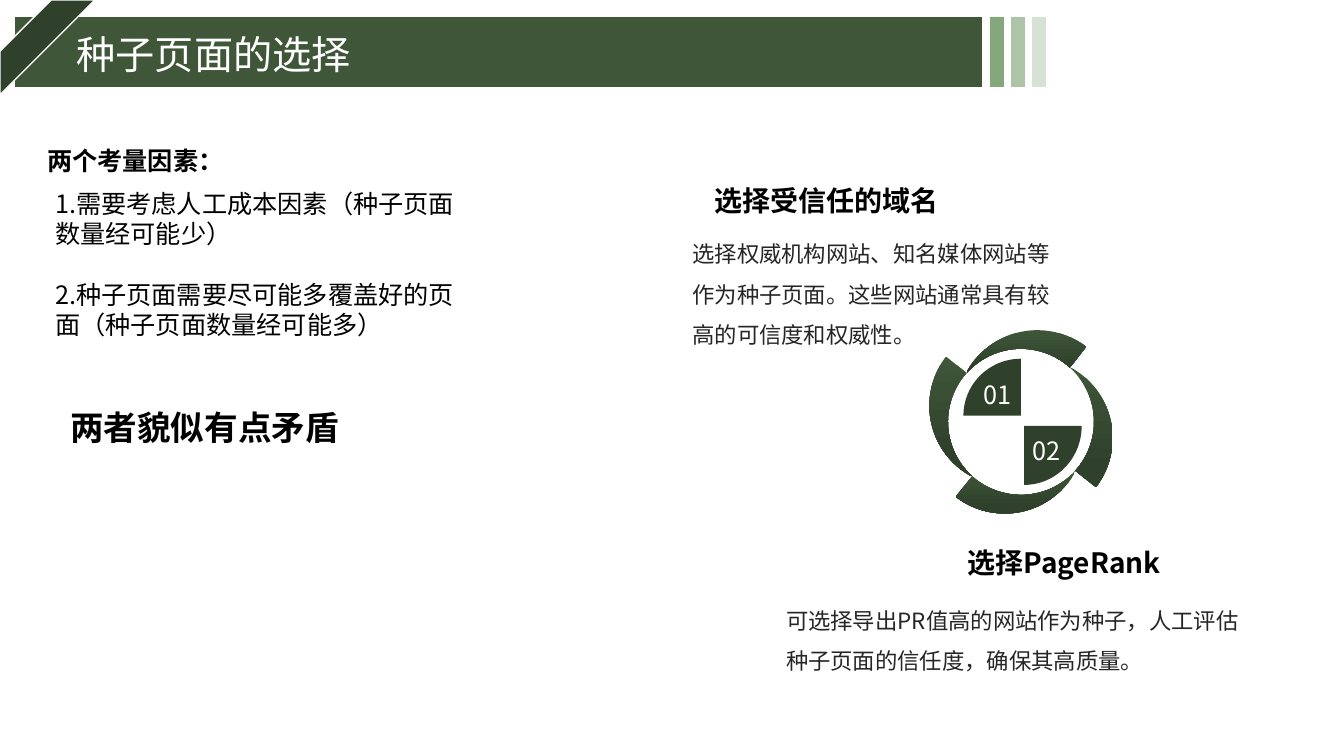
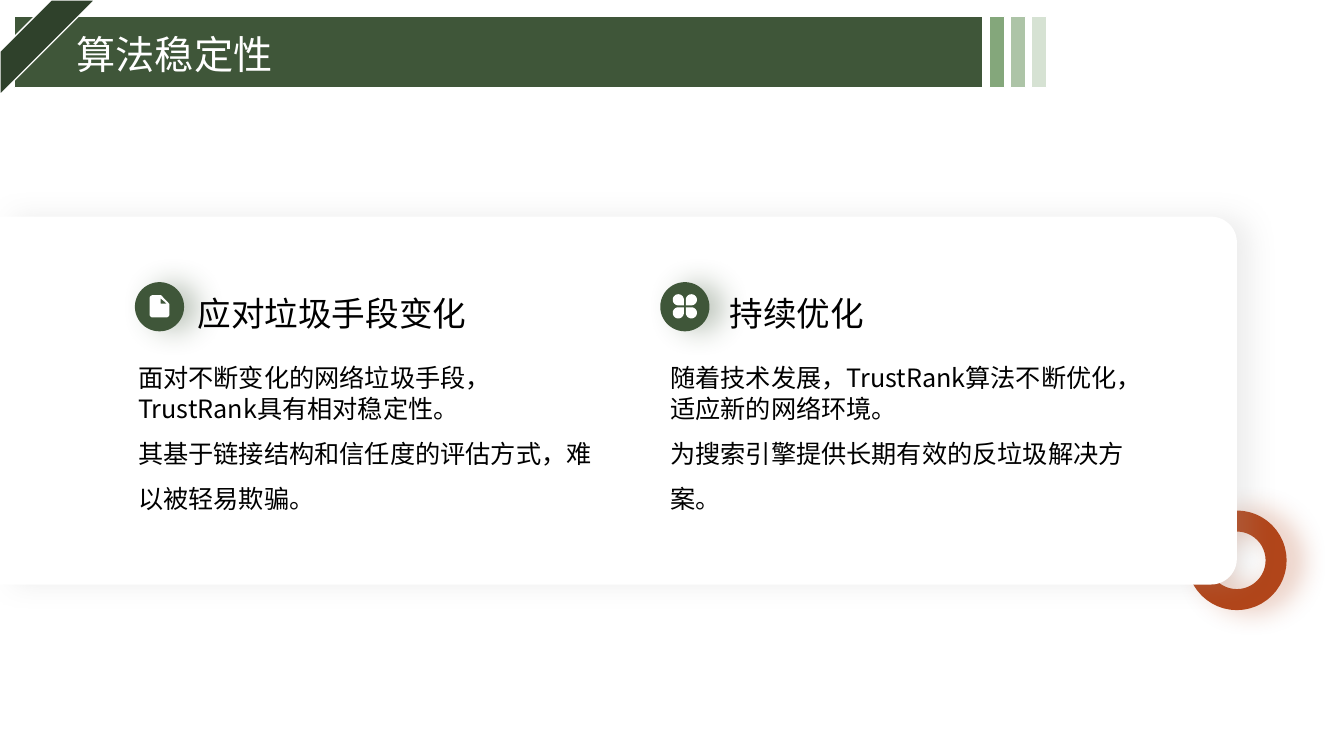
from dataclasses import dataclass
from math import cos, radians, sin

from lxml.etree import SubElement
from pptx import Presentation
from pptx.dml.color import RGBColor
from pptx.enum.shapes import MSO_SHAPE
from pptx.enum.text import MSO_ANCHOR, MSO_AUTO_SIZE, PP_ALIGN
from pptx.oxml.ns import qn
from pptx.util import Cm, Pt


@dataclass(frozen=True)
class Theme:
    font: str = "Noto Sans CJK SC"
    green: str = "3F5639"
    dark: str = "2F412B"
    bars: tuple = ("84A77B", "ADC4A7", "D6E2D3")
    orange: str = "B1451A"
    gray: str = "A6A6A6"
    white: str = "FFFFFF"
    black: str = "000000"
    soft_black: str = "262626"
    title: int = 28
    heading: int = 24
    subheading: int = 20
    body: int = 18
    detail: int = 16


T = Theme()
COMPARISON, TITLE_AND_CONTENT = 4, 1


def rgb(value):
    return RGBColor.from_string(value)


def write_text(tf, text, size=T.body, color=T.black, bold=False, spacing=(1.0,),
               gap=0, align=PP_ALIGN.LEFT, anchor=MSO_ANCHOR.TOP, inset=True):
    tf.word_wrap = True
    tf.auto_size = MSO_AUTO_SIZE.NONE
    tf.vertical_anchor = anchor
    tf.margin_left = tf.margin_right = Cm(0.25 if inset else 0)
    tf.margin_top = tf.margin_bottom = Cm(0.13 if inset else 0)
    for i, line in enumerate(text.split("\n")):
        p = tf.add_paragraph() if i else tf.paragraphs[0]
        p.alignment = align
        p.line_spacing = spacing[i % len(spacing)]
        p.space_before = Pt(gap if i else 0)
        p.space_after = Pt(0)
        pPr = p._p.get_or_add_pPr()
        pPr.set("marL", "0")
        pPr.set("indent", "0")
        SubElement(pPr, qn("a:buNone"))
        r = p.add_run()
        r.text = line
        r.font.size = Pt(size)
        r.font.bold = bold
        r.font.color.rgb = rgb(color)
        r.font.name = T.font
        SubElement(r._r.get_or_add_rPr(), qn("a:ea"), typeface=T.font)


def add_text(slide, box, text, **style):
    sp = slide.shapes.add_textbox(*map(Cm, box))
    write_text(sp.text_frame, text, **style)


def fill_placeholder(slide, idx, box, text, **style):
    sp = slide.placeholders[idx]
    sp.left, sp.top, sp.width, sp.height = map(Cm, box)
    slide.shapes._spTree.append(sp._element)
    write_text(sp.text_frame, text, **style)


def add_shape(slide, kind, box, fill=None, line=None, line_width=1, adjust=()):
    sp = slide.shapes.add_shape(kind, *map(Cm, box))
    sp.shadow.inherit = False
    if fill:
        sp.fill.solid()
        sp.fill.fore_color.rgb = rgb(fill)
    else:
        sp.fill.background()
    if line:
        sp.line.color.rgb = rgb(line)
        sp.line.width = Pt(line_width)
    else:
        sp.line.fill.background()
    for i, value in enumerate(adjust):
        sp.adjustments[i] = value
    return sp


def add_glow(sp, color, opacity):
    effects = sp._element.spPr.find(qn("a:effectLst"))
    shadow = SubElement(effects, qn("a:outerShdw"), blurRad=str(Pt(20)),
                        dist=str(Pt(10)), dir="0", algn="l", rotWithShape="0")
    clr = SubElement(shadow, qn("a:srgbClr"), val=color)
    SubElement(clr, qn("a:alpha"), val=str(opacity * 1000))


def arc(cx, cy, radius, start, end, steps=24):
    angles = [radians(start + (end - start) * i / steps) for i in range(steps + 1)]
    return [(cx + radius * cos(a), cy + radius * sin(a)) for a in angles]


def quarter_turns(points, turns):
    for _ in range(turns):
        points = [(-y, x) for x, y in points]
    return points


def add_outline(slide, center, contours):
    cx, cy = center
    moved = [[(Cm(cx + x), Cm(cy + y)) for x, y in pts] for pts in contours]
    builder = slide.shapes.build_freeform(*moved[0][0], scale=1.0)
    for i, pts in enumerate(moved):
        if i:
            builder.move_to(*pts[0])
        builder.add_line_segments(pts[1:], close=True)
    sp = builder.convert_to_shape()
    sp.shadow.inherit = False
    sp.line.fill.background()
    sp.fill.solid()
    sp.fill.fore_color.rgb = rgb(T.white)
    return sp


def add_header(slide, title):
    add_shape(slide, MSO_SHAPE.RECTANGLE, (0.36, 0.41, 24.41, 1.8), T.green, T.white)
    add_shape(slide, MSO_SHAPE.DIAGONAL_STRIPE, (0, 0, 2.39, 2.39), T.dark, T.white,
              adjust=(0.54,))
    for i, color in enumerate(T.bars):
        add_shape(slide, MSO_SHAPE.RECTANGLE, (24.94 + 0.53 * i, 0.41, 0.38, 1.8),
                  color, T.white)
    fill_placeholder(slide, 0, (1.93, 0.71, 21.97, 1.19), title, size=T.title,
                     color=T.white, spacing=(1.1,), anchor=MSO_ANCHOR.MIDDLE, inset=False)


def add_blades(slide, center):
    blade = arc(0.41, -0.28, 2.03, -150, -52.5) + arc(0, 0, 1.84, -48, -138)
    for turns in range(4):
        sp = add_outline(slide, center, [quarter_turns(blade, turns)])
        sp.fill.gradient()
        sp.fill.gradient_angle = 270
        for stop, color, position in zip(sp.fill.gradient_stops, (T.green, T.dark), (0, 0.82)):
            stop.color.rgb = rgb(color)
            stop.position = position


def add_quarter(slide, box, adjust, label_box, label, align):
    add_shape(slide, MSO_SHAPE.PIE, box, T.dark, adjust=adjust)
    add_text(slide, label_box, label, color=T.white, spacing=(1.1,), align=align,
             anchor=MSO_ANCHOR.BOTTOM)


def add_topic(slide, heading_box, heading, detail_box, detail):
    add_text(slide, heading_box, heading, size=T.subheading, bold=True, spacing=(1.3,),
             anchor=MSO_ANCHOR.BOTTOM)
    add_text(slide, detail_box, detail, size=T.detail, color=T.soft_black, spacing=(1.5,))


def page_icon():
    page = (arc(-0.17, -0.2, 0.08, 180, 270) + [(0.04, -0.28), (0.25, -0.06)]
            + arc(0.17, 0.2, 0.08, 0, 90) + arc(-0.17, 0.2, 0.08, 90, 180))
    fold = [(0.03, -0.2), (0.03, -0.07), (0.18, -0.07)]
    return [page, fold]


def clover_icon():
    petal = arc(-0.165, -0.165, 0.14, 90, 360) + [(-0.025, -0.025)]
    return [quarter_turns(petal, turns) for turns in range(4)]


def add_column(slide, index, icon, heading, detail):
    badge_left, text_shift = 3.4 + 13.24 * index, 13.41 * index
    badge = add_shape(slide, MSO_SHAPE.OVAL, (badge_left, 7.11, 1.24, 1.24), T.green)
    add_glow(badge, T.green, 32)
    add_outline(slide, (badge_left + 0.62, 7.72), icon)
    fill_placeholder(slide, 2 * index + 1, (4.98 + text_shift, 6.73, 10.21, 2.01), heading,
                     size=T.heading, spacing=(1.3,), anchor=MSO_ANCHOR.MIDDLE, inset=False)
    fill_placeholder(slide, 2 * index + 2, (3.48 + text_shift, 9.14, 11.73, 4.29), detail,
                     spacing=(1.0, 1.5), inset=False)


def seed_slide(prs):
    slide = prs.slides.add_slide(prs.slide_layouts[TITLE_AND_CONTENT])
    add_header(slide, "种子页面的选择")
    add_blades(slide, (25.73, 10.63))
    add_topic(slide, (17.75, 3.99, 9.96, 1.6), "选择受信任的域名", (17.2, 5.59, 9.96, 4.22),
              "选择权威机构网站、知名媒体网站等作为种子页面。这些网站通常具有较高的可信度和权威性。")
    add_topic(slide, (24.13, 13.13, 6.48, 1.6), "选择PageRank", (19.56, 14.83, 12.17, 2.51),
              "可选择导出PR值高的网站作为种子，人工评估种子页面的信任度，确保其高质量。")
    add_quarter(slide, (24.28, 9.04, 2.9, 2.87), (108, 162),
                (24.43, 9.19, 1.32, 1.27), "01", PP_ALIGN.RIGHT)
    add_quarter(slide, (24.36, 9.25, 2.9, 2.97), (0, 54),
                (25.76, 10.59, 1.32, 1.27), "02", PP_ALIGN.LEFT)
    add_text(slide, (0.94, 3.53, 5.21, 1.02), "两个考量因素：", bold=True)
    fill_placeholder(slide, 1, (1.14, 4.62, 10.59, 4.11),
                     "1.需要考虑人工成本因素（种子页面数量经可能少）\n"
                     "2.种子页面需要尽可能多覆盖好的页面（种子页面数量经可能多）", gap=21.7)
    add_text(slide, (1.52, 10.13, 8.41, 1.27), "两者貌似有点矛盾", size=T.heading, bold=True)


def stability_slide(prs):
    slide = prs.slides.add_slide(prs.slide_layouts[COMPARISON])
    add_header(slide, "算法稳定性")
    ring = add_shape(slide, MSO_SHAPE.OVAL, (30.18, 13.13, 1.98, 1.98),
                     line=T.orange, line_width=15)
    add_glow(ring, T.orange, 32)
    card = add_shape(slide, MSO_SHAPE.ROUND_2_SAME_RECTANGLE, (10.95, -5.49, 9.27, 31.17),
                     T.white, adjust=(0.07, 0))
    card.rotation = 90
    add_glow(card, T.gray, 20)
    add_column(slide, 0, page_icon(), "应对垃圾手段变化",
               "面对不断变化的网络垃圾手段，TrustRank具有相对稳定性。\n"
               "其基于链接结构和信任度的评估方式，难以被轻易欺骗。")
    add_column(slide, 1, clover_icon(), "持续优化",
               "随着技术发展，TrustRank算法不断优化，适应新的网络环境。\n"
               "为搜索引擎提供长期有效的反垃圾解决方案。")


def main():
    prs = Presentation()
    prs.slide_width, prs.slide_height = Cm(33.87), Cm(19.05)
    seed_slide(prs)
    stability_slide(prs)
    prs.save("out.pptx")


if __name__ == "__main__":
    main()
